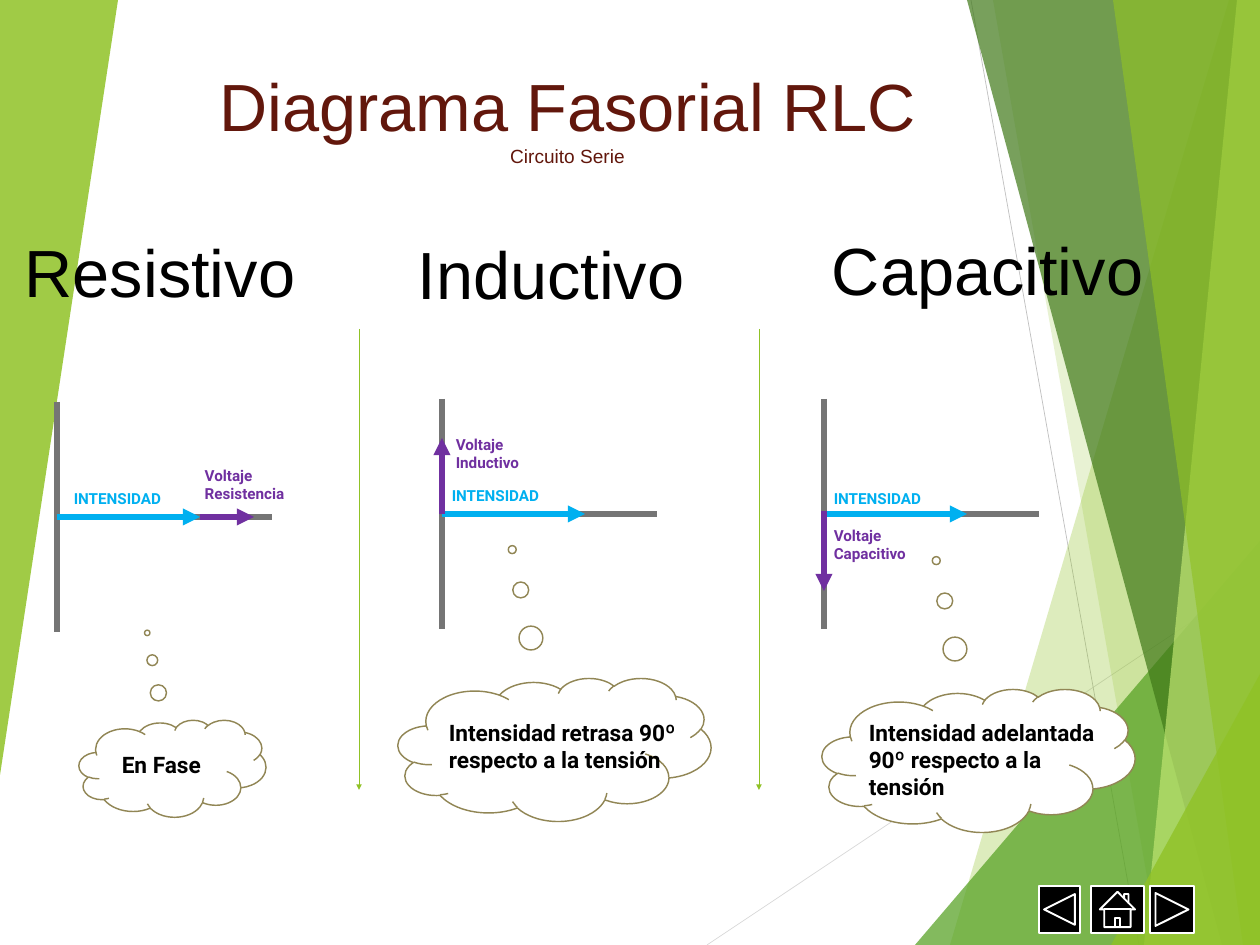
from lxml.etree import SubElement
from pptx import Presentation
from pptx.dml.color import RGBColor
from pptx.enum.shapes import MSO_CONNECTOR, MSO_SHAPE
from pptx.enum.text import PP_ALIGN
from pptx.oxml.ns import qn
from pptx.util import Pt

PX = 914400 / 68.6
WIDTH, HEIGHT = 1260, 945
GREEN, GREY, BLUE, PURPLE = "90C226", "757575", "00B0F0", "7030A0"
BLACK, WHITE, OLIVE, BROWN = "000000", "FFFFFF", "918655", "62170C"


def px(n):
    return round(n * PX)


def color(hex_string):
    return RGBColor.from_string(hex_string)


def line(s, start, end, hex_string, width, arrow=False):
    c = s.shapes.add_connector(MSO_CONNECTOR.STRAIGHT, *map(px, start + end))
    c.line.color.rgb = color(hex_string)
    c.line.width = Pt(width)
    sppr = c._element.spPr
    if arrow:
        SubElement(sppr.find(qn("a:ln")), qn("a:tailEnd"), type="triangle")
    SubElement(sppr, qn("a:effectLst"))


def shape(s, kind, box, fill, outline, width):
    sp = s.shapes.add_shape(kind, *map(px, box))
    sp.shadow.inherit = False
    sp.fill.solid()
    sp.fill.fore_color.rgb = color(fill)
    sp.line.color.rgb = color(outline)
    sp.line.width = Pt(width)
    return sp


def text(s, box, lines, font, hex_string, bold=False, align=PP_ALIGN.LEFT):
    """Each line is a (wording, size) pair."""
    tf = s.shapes.add_textbox(*map(px, box)).text_frame
    tf.word_wrap = True
    for i, (wording, size) in enumerate(lines):
        p = tf.add_paragraph() if i else tf.paragraphs[0]
        p.alignment = align
        r = p.add_run()
        r.text = wording
        r.font.name = font
        r.font.size = Pt(size)
        r.font.bold = bold
        r.font.color.rgb = color(hex_string)


def facet(s, points, hex_string, opacity):
    builder = s.shapes.build_freeform(*points[0], scale=PX)
    builder.add_line_segments(points[1:], close=True)
    sp = builder.convert_to_shape()
    sp.shadow.inherit = False
    sp.fill.solid()
    sp.fill.fore_color.rgb = color(hex_string)
    sp.line.fill.background()
    srgb = sp._element.spPr.find(".//" + qn("a:srgbClr"))
    SubElement(srgb, qn("a:alpha"), val=str(opacity * 1000))


def background(s, box):
    x, y, w, h = box
    right, bottom = x + w, y + h
    # Thin rays behind the facets
    line(s, (x + 707, bottom), (right, y + 576), "D8D8D8", 0.75)
    line(s, (x + 971, y), (x + 1139, bottom), "BFBFBF", 0.75)
    # Facets: top and bottom end of the slanted edge, colour, opacity
    for top, foot, hex_string, opacity in [
        ((1229, 0), 950, GREEN, 30),
        ((993, 0), 1159, GREEN, 20),
        ((1260, 541), 915, "54A021", 72),
        ((967, 0), 1222, "3F7818", 70),
        ((1237, 0), 1144, "BFE471", 70),
        ((1113, 0), 1243, GREEN, 65),
        ((1260, 674), 1111, GREEN, 80),
    ]:
        edge = [(x + top[0], y + top[1]), (x + foot, bottom), (right, bottom)]
        if top[0] < w:
            edge.append((right, y))
        facet(s, edge, hex_string, opacity)
    # Left wedge
    facet(s, [(x, y), (x + 118, y), (x, y + 775)], GREEN, 85)


def phasor(s, box, kind, voltage, current_label, voltage_label):
    """Voltage ends and label places are offsets from the origin of the axes."""
    x, y, w, h = box
    mid = y + h // 2

    def at(offset):
        return x + offset[0], mid + offset[1]

    # Axes
    line(s, (x, y), (x, y + h), GREY, 6)
    line(s, (x + w, mid), (x, mid), GREY, 6)
    # Current and voltage arrows
    line(s, (x, mid), at((143, 0)), BLUE, 6, arrow=True)
    line(s, at(voltage[0]), at(voltage[1]), PURPLE, 6, arrow=True)
    # Labels
    text(s, at(current_label) + (250, 25), [("INTENSIDAD", 16)],
         "Roboto", BLUE, bold=True)
    text(s, at(voltage_label) + (108, 44), [("Voltaje", 16), (kind, 16)],
         "Roboto", PURPLE, bold=True)


def thought(s, box, wording, inset):
    x, y, w, h = box
    cloud = shape(s, MSO_SHAPE.CLOUD_CALLOUT, box, WHITE, OLIVE, 1.5)
    cloud.adjustments[0] = -0.135
    cloud.adjustments[1] = -1.398
    text(s, (x + inset[0], y + inset[1], 250, 62), [(wording, 23.8)],
         "Roboto", BLACK, bold=True)


def heading(s, box, wording):
    text(s, box, [(wording, 70)], "Arial", BLACK, align=PP_ALIGN.CENTER)


def title(s, box):
    text(s, box, [("Diagrama Fasorial RLC", 70), ("Circuito Serie", 20)],
         "Arial", BROWN, align=PP_ALIGN.CENTER)


def navigation(s, box):
    x, y, w, h = box
    for kind, left, width in [
        (MSO_SHAPE.ACTION_BUTTON_BACK_OR_PREVIOUS, 0, 41),
        (MSO_SHAPE.ACTION_BUTTON_HOME, 52, 53),
        (MSO_SHAPE.ACTION_BUTTON_FORWARD_OR_NEXT, 111, 44),
    ]:
        shape(s, kind, (x + left, y, width, h), BLACK, WHITE, 2)


prs = Presentation()
prs.slide_width, prs.slide_height = px(WIDTH), px(HEIGHT)
s = prs.slides.add_slide(prs.slide_layouts[6])

background(s, (0, 0, WIDTH, HEIGHT))
title(s, (200, 61, 735, 191))

# Resistive circuit
heading(s, (13, 227, 294, 88), "Resistivo")
phasor(s, (57, 402, 215, 230), "Resistencia",
       ((143, 0), (197, 0)), (10, -31), (141, -54))
thought(s, (79, 720, 187, 97), "En Fase", (36, 27))

# Inductive circuit
heading(s, (398, 229, 306, 88), "Inductivo")
phasor(s, (442, 399, 215, 230), "Inductivo",
       ((0, 0), (0, -76)), (3, -31), (7, -82))
thought(s, (398, 678, 313, 143),
        "Intensidad retrasa 90º respecto a la tensión", (44, 37))

# Capacitive circuit
heading(s, (814, 225, 347, 88), "Capacitivo")
phasor(s, (824, 399, 215, 230), "Capacitivo",
       ((0, -3), (0, 77)), (3, -28), (3, 9))
thought(s, (822, 689, 313, 143),
        "Intensidad adelantada 90º respecto a la tensión", (40, 26))

# Column dividers
for x in (359, 759):
    line(s, (x, 329), (x, 790), GREEN, 1, arrow=True)

navigation(s, (1039, 886, 155, 47))
prs.save("out.pptx")
